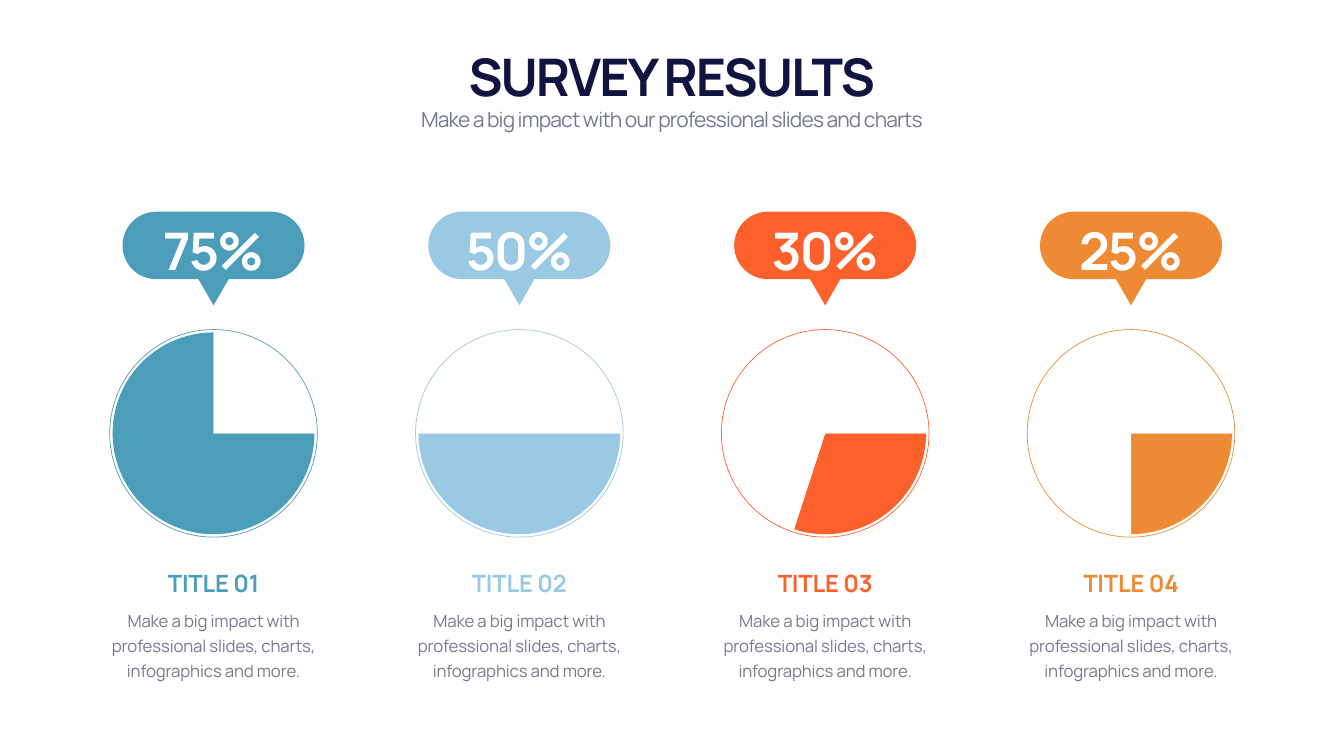
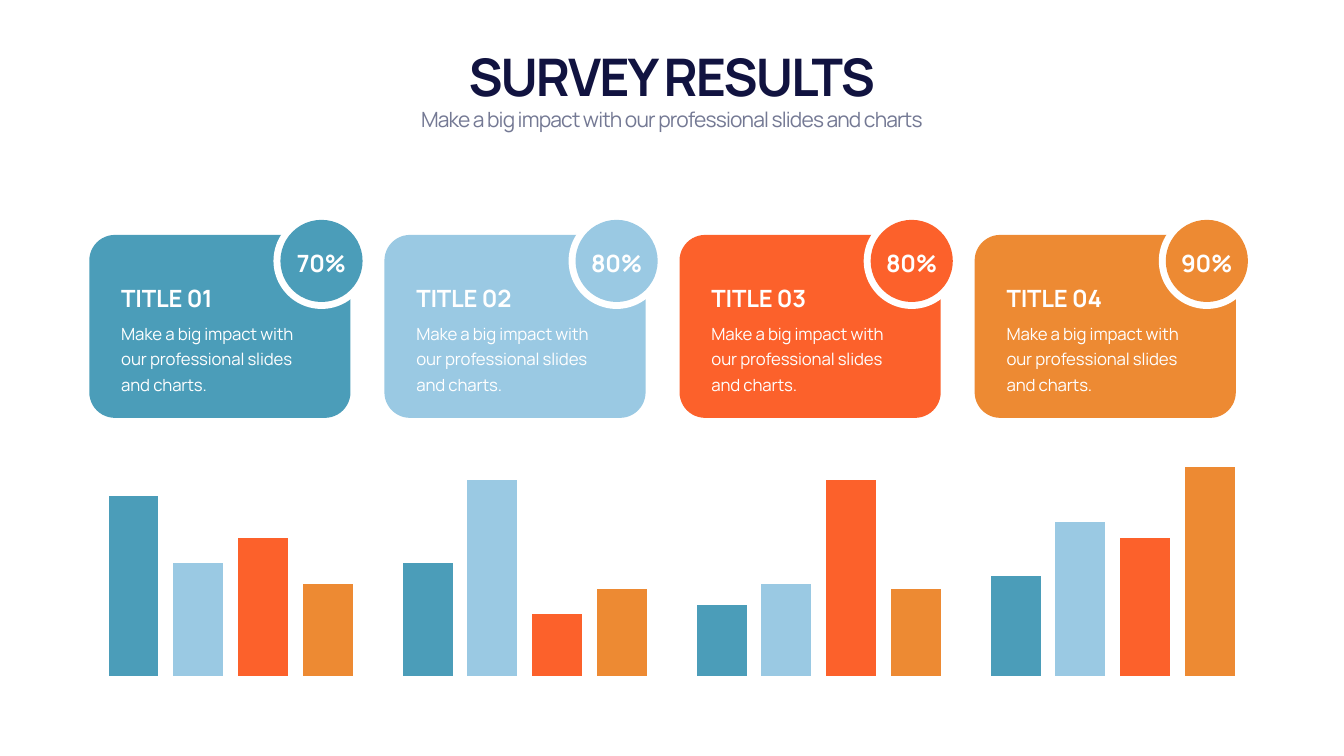
from math import cos, pi, sin

from lxml.etree import SubElement
from pptx import Presentation
from pptx.chart.data import CategoryChartData
from pptx.dml.color import RGBColor
from pptx.enum.chart import XL_CHART_TYPE as Kind
from pptx.enum.shapes import MSO_SHAPE as Geo
from pptx.enum.text import MSO_ANCHOR as Anchor, MSO_AUTO_SIZE as Auto, PP_ALIGN as Align
from pptx.oxml.ns import qn
from pptx.util import Cm, Pt

# Content
TITLE = "SURVEY RESULTS"
LEAD = "Make a big impact with our professional slides and charts"
HEADS = ["TITLE 01", "TITLE 02", "TITLE 03", "TITLE 04"]
PIE_NOTE = "Make a big impact with professional slides, charts, infographics and more."
CARD_NOTE = "Make a big impact with our professional slides and charts."
SHARES = [75, 50, 30, 25]
SCORES = [70, 80, 80, 90]
BARS = [
    [86, 54, 34, 48],
    [54, 94, 44, 74],
    [66, 30, 94, 66],
    [44, 42, 42, 100],
]

# Look
HUES = ["4B9DB9", "9AC9E3", "FC612B", "ED8A33"]
NAVY, GREY, WHITE = "111340", "747994", "FFFFFF"
FACE = "Manrope"
STYLES = {  # font values, letter spacing in 1/100 pt, line spacing, anchor
    "title": ({"size": Pt(74), "bold": True}, -290, None, Anchor.BOTTOM),
    "share": ({"size": Pt(74), "bold": True}, -290, None, Anchor.MIDDLE),
    "lead": ({"size": Pt(30)}, -120, None, Anchor.TOP),
    "head": ({"size": Pt(34), "bold": True}, -30, None, Anchor.BOTTOM),
    "score": ({"size": Pt(34), "bold": True}, -30, None, Anchor.MIDDLE),
    "note": ({"size": Pt(24)}, -20, Pt(36), Anchor.TOP),
}

# Layout in cm
WIDE, HIGH = 67.72, 38.1
EDGE, SPAN = 4.22, 59.26
PIE_X, PIE_STEP, PIE_Y = 10.76, 15.41, 21.84
PIE, RING = 10.82, 10.46
PIE_FILL = 0.94
PILL_W, PILL_H, PILL_Y = 9.17, 3.4, 10.67
TAIL_W, TAIL_H = 1.52, 1.32
CARD_X, CARD_STEP, CARD_Y = 4.5, 14.87, 11.84
CARD_W, CARD_H, CARD_PAD = 13.16, 9.22, 1.36
BADGE_X, BADGE_Y, BADGE, RIM = 11.7, 13.15, 4.14, 0.35


def color(code):
    return RGBColor.from_string(code)


def box(x, y, w, h):
    return [Cm(v) for v in (x, y, w, h)]


def paint(shape, fill=None, line=None):
    shape.shadow.inherit = False
    if fill:
        shape.fill.solid()
        shape.fill.fore_color.rgb = color(fill)
    else:
        shape.fill.background()
    if line:
        shape.line.color.rgb = color(line)
        shape.line.width = Pt(1)
    else:
        shape.line.fill.background()


def write(slide, words, style, hue, area, align=Align.CENTER):
    looks, track, lead, anchor = STYLES[style]
    frame = slide.shapes.add_textbox(*box(*area)).text_frame
    frame.word_wrap = True
    frame.auto_size = Auto.SHAPE_TO_FIT_TEXT
    frame.vertical_anchor = anchor
    para = frame.paragraphs[0]
    para.alignment = align
    if lead:
        para.line_spacing = lead
    run = para.add_run()
    run.text = words
    for key, val in {"name": FACE, **looks}.items():
        setattr(run.font, key, val)
    run.font.color.rgb = color(hue)
    run._r.get_or_add_rPr().set("spc", str(track))


def disc(slide, x, y, size, **look):
    """Circle centred on x, y."""
    area = box(x - size / 2, y - size / 2, size, size)
    paint(slide.shapes.add_shape(Geo.OVAL, *area), **look)


def bubble(slide, mid, hue):
    """Pill with a tail that points down."""
    r = PILL_H / 2
    arm, y, foot = PILL_W / 2 - r, PILL_Y + r, PILL_Y + PILL_H

    def bend(x, start):
        turns = [start + pi * k / 36 for k in range(37)]
        return [(x + r * cos(t), y + r * sin(t)) for t in turns]

    tail = [(mid + TAIL_W / 2, foot), (mid, foot + TAIL_H), (mid - TAIL_W / 2, foot)]
    dots = bend(mid + arm, -pi / 2) + tail + bend(mid - arm, pi / 2)
    first, *rest = [(Cm(a), Cm(b)) for a, b in dots]
    pen = slide.shapes.build_freeform(*first)
    pen.add_line_segments(rest, close=True)
    paint(pen.convert_to_shape(), hue)


def plot(slide, kind, cats, rows, area, inset, size):
    """Chart whose plot area starts at inset and takes size, as shares."""
    data = CategoryChartData()
    data.categories = cats
    for n, row in enumerate(rows, 1):
        data.add_series(f"Series {n}", row)
    chart = slide.shapes.add_chart(kind, *box(*area), data).chart
    chart.has_legend = chart.has_title = False
    chart.font.name, chart.font.size = "Calibri", Pt(10)
    chart.font.color.rgb = color(GREY)
    zone = chart._chartSpace.chart.plotArea
    for old in zone.findall(qn("c:layout")):
        zone.remove(old)
    frame = SubElement(zone, qn("c:layout"))
    zone.insert(0, frame)
    manual = SubElement(frame, qn("c:manualLayout"))
    marks = {"layoutTarget": "inner", "xMode": "edge", "yMode": "edge",
             "x": inset, "y": inset, "w": size, "h": size}
    for key, val in marks.items():
        SubElement(manual, qn(f"c:{key}")).set("val", str(val))
    return chart


def pie(slide, mid, share, hue):
    area = (mid - PIE / 2, PIE_Y - PIE / 2, PIE, PIE)
    inset = round((1 - PIE_FILL) / 2, 2)
    chart = plot(slide, Kind.PIE, ["1", "2"], [[share, 100 - share]], area, inset, PIE_FILL)
    pies = chart.plots[0]
    SubElement(pies._element, qn("c:firstSliceAng")).set("val", "90")
    for n, code in enumerate((hue, WHITE)):
        form = pies.series[0].points[n].format
        form.fill.solid()
        form.fill.fore_color.rgb = color(code)
        form.line.fill.background()


def columns(slide):
    area = (EDGE, 21.44, SPAN, 12.65)
    chart = plot(slide, Kind.COLUMN_CLUSTERED, ["1", "2", "3", "4"], BARS, area, 0, 1)
    bars = chart.plots[0]
    bars.gap_width, bars.overlap, bars.vary_by_categories = 100, -30, False
    axis = chart.value_axis
    axis.minimum_scale, axis.maximum_scale = 0, 120
    axis.has_major_gridlines = False
    axis.visible = chart.category_axis.visible = False
    for row, hue in zip(bars.series, HUES):
        row.format.fill.solid()
        row.format.fill.fore_color.rgb = color(hue)


def start(deck):
    """Blank slide with the shared heading."""
    slide = deck.slides.add_slide(deck.slide_layouts[6])
    write(slide, TITLE, "title", NAVY, (EDGE, 2.08, SPAN, 3.43))
    write(slide, LEAD, "lead", GREY, (EDGE, 5.26, SPAN, 1.55))
    return slide


def pies(deck):
    slide = start(deck)
    for n, (head, share, hue) in enumerate(zip(HEADS, SHARES, HUES)):
        mid = PIE_X + n * PIE_STEP
        bubble(slide, mid, hue)
        pie(slide, mid, share, hue)
        disc(slide, mid, PIE_Y, RING, line=hue)
        write(slide, f"{share}%", "share", WHITE, (mid - 3.46, 10.87, 6.92, 3.43))
        write(slide, head, "head", hue, (mid - 6.54, 28.55, 13.08, 1.7))
        write(slide, PIE_NOTE, "note", GREY, (mid - 6.54, 30.38, 13.08, 4.04))


def cards(deck):
    slide = start(deck)
    for n, (head, score, hue) in enumerate(zip(HEADS, SCORES, HUES)):
        x = CARD_X + n * CARD_STEP
        card = slide.shapes.add_shape(
            Geo.ROUNDED_RECTANGLE, *box(x, CARD_Y, CARD_W, CARD_H))
        card.adjustments[0] = 0.14
        paint(card, hue)
        mid, left = x + BADGE_X, x + CARD_PAD
        disc(slide, mid, BADGE_Y, BADGE + 2 * RIM, fill=WHITE)
        disc(slide, mid, BADGE_Y, BADGE, fill=hue)
        write(slide, head, "head", WHITE, (left, 14.15, 10.31, 1.7), Align.LEFT)
        write(slide, CARD_NOTE, "note", WHITE, (left, 15.95, 10.31, 4.04), Align.LEFT)
        write(slide, f"{score}%", "score", WHITE, (mid - 1.89, 12.4, 3.78, 1.7))
    columns(slide)


def main():
    deck = Presentation()
    deck.slide_width, deck.slide_height = Cm(WIDE), Cm(HIGH)
    pies(deck)
    cards(deck)
    deck.save("out.pptx")


if __name__ == "__main__":
    main()
